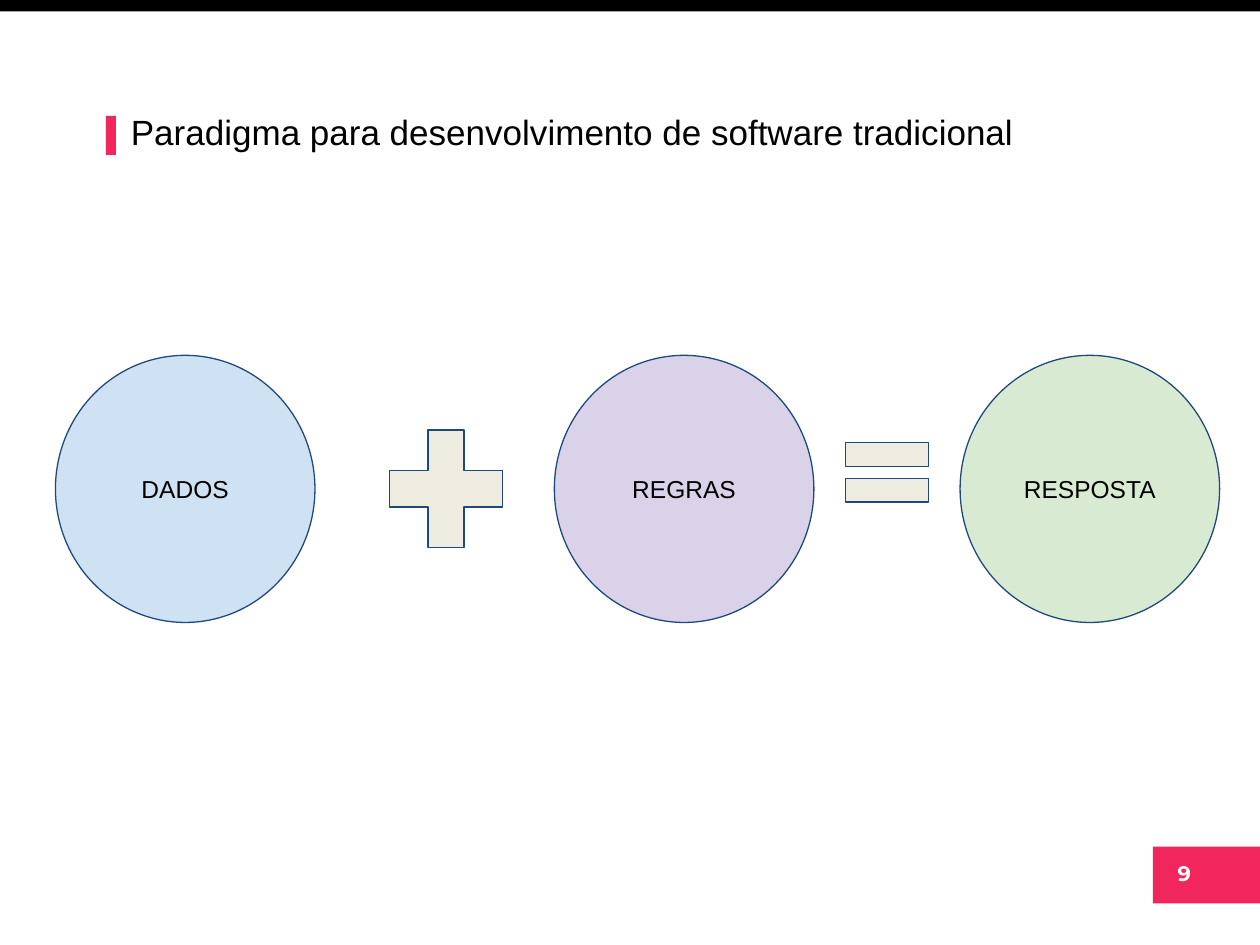
import pptx
import pptx.util
import pptx.dml.color
import pptx.enum.shapes
import pptx.enum.text

WIDTH, HEIGHT = 10, 7.5
PINK, BLACK, WHITE = "F0265D", "000000", "FFFFFF"
OUTLINE, OPERATOR_FILL = "1F497D", "EEECE1"
TERM_TOP, TERM_WIDTH, TERM_HEIGHT = 2.82, 2.06, 2.12
TERM_MIDDLE = TERM_TOP + TERM_HEIGHT / 2

SHAPE = pptx.enum.shapes.MSO_SHAPE
ALIGN = pptx.enum.text.PP_ALIGN
ANCHOR = pptx.enum.text.MSO_ANCHOR


def colour(hex_string):
    return pptx.dml.color.RGBColor.from_string(hex_string)


def inches(*lengths):
    return [pptx.util.Inches(length) for length in lengths]


def add_figure(slide, kind, box, fill, outline=None, adjustments=()):
    figure = slide.shapes.add_shape(kind, *inches(*box))
    figure.shadow.inherit = False
    figure.fill.solid()
    figure.fill.fore_color.rgb = colour(fill)
    if outline:
        figure.line.color.rgb = colour(outline)
        figure.line.width = pptx.util.Pt(0.75)
    else:
        figure.line.fill.background()
    for index, value in enumerate(adjustments):
        figure.adjustments[index] = value
    return figure


def write(frame, text, size, font="Arial", ink=BLACK, bold=False,
          align=ALIGN.CENTER, anchor=ANCHOR.MIDDLE, margin=0.1):
    frame.word_wrap = True
    frame.vertical_anchor = anchor
    frame.margin_left = frame.margin_right = pptx.util.Inches(0.1)
    frame.margin_top = frame.margin_bottom = pptx.util.Inches(margin)
    paragraph = frame.paragraphs[0]
    paragraph.text = text
    paragraph.alignment = align
    paragraph.font.size = pptx.util.Pt(size)
    paragraph.font.name = font
    paragraph.font.bold = bold
    paragraph.font.color.rgb = colour(ink)


def add_label(slide, box, text, size, **style):
    label = slide.shapes.add_textbox(*inches(*box))
    write(label.text_frame, text, size, anchor=ANCHOR.TOP, **style)


def add_term(slide, left, name, fill):
    box = (left, TERM_TOP, TERM_WIDTH, TERM_HEIGHT)
    term = add_figure(slide, SHAPE.OVAL, box, fill, OUTLINE)
    write(term.text_frame, name, 14)


def add_operator(slide, kind, left, middle, width, height, adjustments):
    box = (left, middle - height / 2, width, height)
    add_figure(slide, kind, box, OPERATOR_FILL, OUTLINE, adjustments)


def main():
    presentation = pptx.Presentation()
    presentation.slide_width, presentation.slide_height = inches(WIDTH, HEIGHT)
    slide = presentation.slides.add_slide(presentation.slide_layouts[6])

    # Top band and page number
    add_figure(slide, SHAPE.RECTANGLE, (0, 0, WIDTH, 0.09), BLACK)
    add_figure(slide, SHAPE.RECTANGLE, (9.15, 6.72, WIDTH - 9.15, 0.45), PINK)
    add_label(slide, (9.16, 6.78, 0.48, 0.3), "9", 12, font="Montserrat",
              ink=WHITE, bold=True, margin=0.05)

    # Title with its marker
    add_figure(slide, SHAPE.RECTANGLE, (0.84, 0.92, 0.08, 0.31), PINK)
    add_label(slide, (0.94, 0.78, 7.71, 0.54),
              "Paradigma para desenvolvimento de software tradicional", 20,
              align=ALIGN.LEFT)

    # Equation: data + rules = answer
    for left, name, fill in ((0.44, "DADOS", "CFE2F3"),
                             (4.4, "REGRAS", "D9D2E9"),
                             (7.62, "RESPOSTA", "D9EAD3")):
        add_term(slide, left, name, fill)
    add_operator(slide, SHAPE.MATH_PLUS, 2.93, TERM_MIDDLE, 1.22, 1.27, (0.235,))
    add_operator(slide, SHAPE.MATH_EQUAL, 6.59, 3.75, 0.9, 0.8, (0.235, 0.118))

    presentation.save("out.pptx")


if __name__ == "__main__":
    main()
